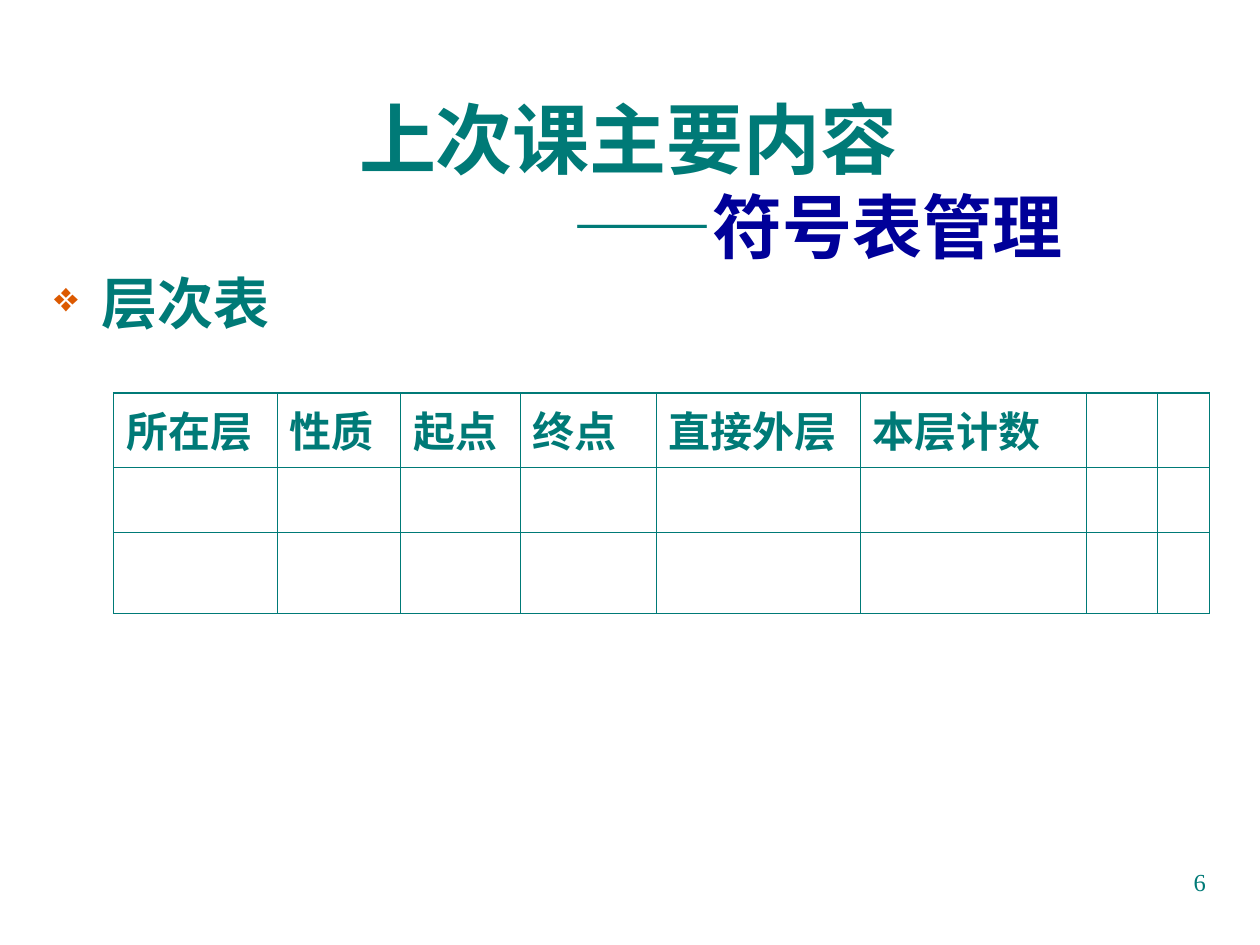
from lxml import etree
from pptx import Presentation
from pptx import util as u
from pptx.dml.color import RGBColor
from pptx.enum import text
from pptx.oxml import ns

TEAL, NAVY, ORANGE = "007A77", "000099", "DC5900"
SERIF, SANS, CJK = "Times New Roman", "Arial", "Noto Sans CJK JP"
HEADERS = ["所在层", "性质", "起点", "终点", "直接外层", "本层计数"]
COL_WIDTHS = [3.3, 2.49, 2.41, 2.74, 4.11, 4.55, 1.45, 1.04]
ROW_HEIGHTS = [1.5, 1.32, 1.63]
THIN, THICK = 0.45, 1.08


def rgb(value):
    return RGBColor.from_string(value)


def sub(parent, tag, **attrs):
    return etree.SubElement(parent, ns.qn(tag), **attrs)


class Deck:
    """Holds the text style and the current slide."""

    def __init__(self, prs):
        self.s = prs.slides.add_slide(prs.slide_layouts[6])
        self.color = TEAL

    def font(self, font, size=None, name=None, color=None, bold=None):
        if size:
            font.size = u.Pt(size)
        if bold is not None:
            font.bold = bold
        if color:
            font.color.rgb = rgb(color)
        if name:
            font.name = name

    def paragraph(self, p, content, size, name, bold=True):
        p.text = content
        self.font(p.font, size, name, self.color, bold)
        sub(p._p.pPr.find(ns.qn("a:defRPr")), "a:ea", typeface=CJK)

    def box(self, x, y, w, h, anchor=text.MSO_ANCHOR.TOP):
        tf = self.s.shapes.add_textbox(*map(u.Cm, (x, y, w, h))).text_frame
        tf.word_wrap = True
        tf.vertical_anchor = anchor
        return tf

    def title(self, heading, dash, topic):
        tf = self.box(0.84, 1.7, 23.67, 3.84, text.MSO_ANCHOR.MIDDLE)
        p = tf.paragraphs[0]
        p.alignment = text.PP_ALIGN.CENTER
        self.paragraph(p, heading, 44, SERIF)
        p = tf.add_paragraph()
        p.alignment = text.PP_ALIGN.CENTER
        p._p.get_or_add_pPr().set("marL", str(u.Cm(7.62)))
        self.paragraph(p, dash, 40, SERIF)
        r = p.add_run()
        r.text = topic
        self.font(r.font, name=CJK, color=NAVY)

    def bullet(self, content):
        p = self.box(0.84, 5.28, 11.63, 11.66).paragraphs[0]
        pPr = p._p.get_or_add_pPr()
        pPr.set("marL", str(u.Cm(0.95)))
        pPr.set("indent", str(u.Cm(-0.95)))
        sub(sub(pPr, "a:buClr"), "a:srgbClr", val=ORANGE)
        sub(pPr, "a:buSzPct", val="75000")
        sub(pPr, "a:buChar", char="❖")
        self.paragraph(p, content, 32, CJK)

    def borders(self, cell, widths):
        """Draw the left, right, top and bottom lines, widths in points."""
        tcPr = cell._tc.get_or_add_tcPr()
        for side, width in zip("LRTB", widths):
            ln = sub(tcPr, f"a:ln{side}", w=str(u.Pt(width)))
            sub(sub(ln, "a:solidFill"), "a:srgbClr", val=self.color)

    def table(self, x, y, headers, widths, heights):
        rows, cols = len(heights), len(widths)
        size = map(u.Cm, (x, y, sum(widths), sum(heights)))
        table = self.s.shapes.add_table(rows, cols, *size).table
        for column, width in zip(table.columns, widths):
            column.width = u.Cm(width)
        for row, height in zip(table.rows, heights):
            row.height = u.Cm(height)
        for i in range(rows):
            for j in range(cols):
                cell = table.cell(i, j)
                outer = (j == 0, j == cols - 1, i == 0, i == rows - 1)
                self.borders(cell, [THICK if edge else THIN for edge in outer])
                cell.fill.background()
        for j, header in enumerate(headers):
            self.paragraph(table.cell(0, j).text_frame.paragraphs[0], header, 24, SANS)

    def page_number(self, number):
        p = self.box(18.21, 17.35, 6.35, 1.32).paragraphs[0]
        p.alignment = text.PP_ALIGN.RIGHT
        self.paragraph(p, number, 14, SERIF, bold=False)


def main():
    prs = Presentation()
    prs.slide_width, prs.slide_height = u.Cm(25.4), u.Cm(19.05)
    deck = Deck(prs)
    deck.title("上次课主要内容", "——", "符号表管理")
    deck.bullet("层次表")
    deck.table(2.29, 7.92, HEADERS, COL_WIDTHS, ROW_HEIGHTS)
    deck.page_number("6")
    prs.save("out.pptx")


if __name__ == "__main__":
    main()
